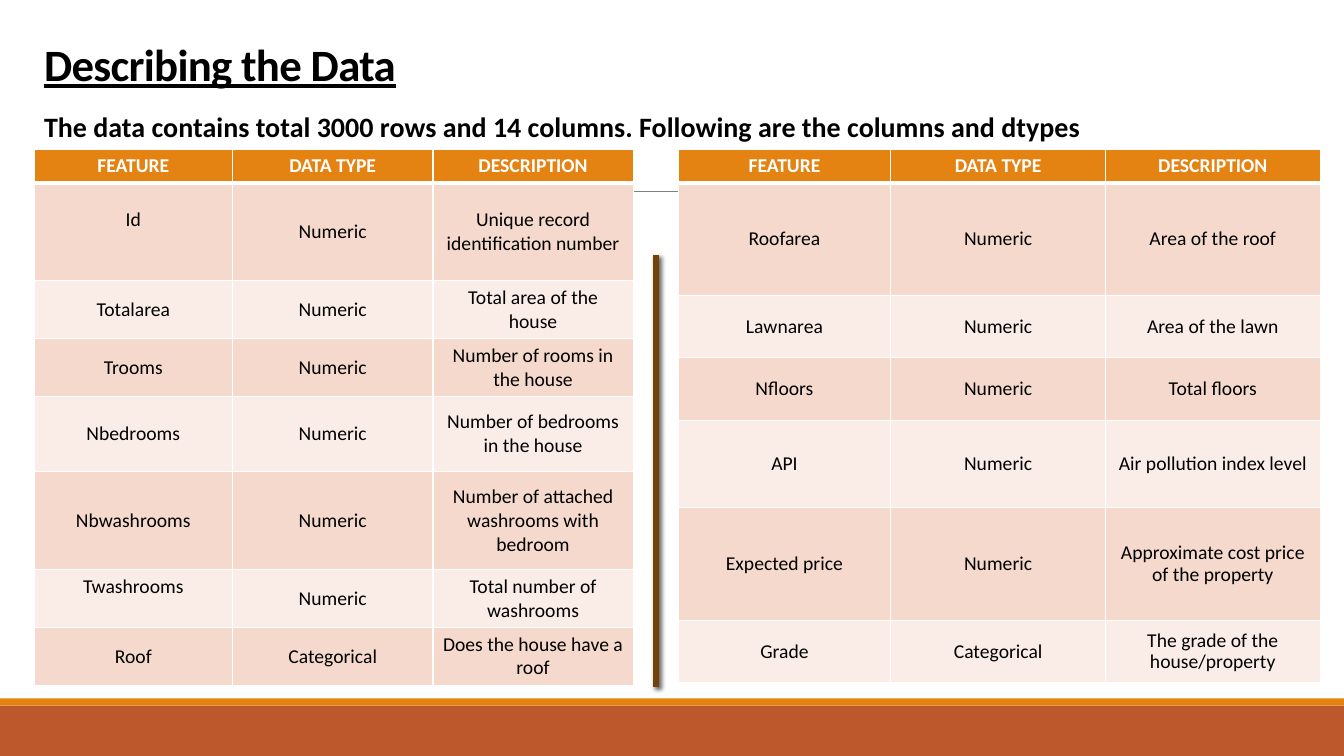
from lxml import etree
from pptx import Presentation
from pptx.dml.color import RGBColor
from pptx.enum.shapes import MSO_CONNECTOR, MSO_SHAPE
from pptx.enum.text import MSO_ANCHOR, PP_ALIGN
from pptx.oxml import parse_xml
from pptx.oxml.ns import nsdecls, qn
from pptx.util import Cm, Pt

STRAIGHT = MSO_CONNECTOR.STRAIGHT
RECT = MSO_SHAPE.RECTANGLE
TOP, MIDDLE, BOTTOM = MSO_ANCHOR.TOP, MSO_ANCHOR.MIDDLE, MSO_ANCHOR.BOTTOM
CENTER = PP_ALIGN.CENTER

BLACK = RGBColor(0x00, 0x00, 0x00)
WHITE = RGBColor(0xFF, 0xFF, 0xFF)
GRAY = RGBColor(0x80, 0x80, 0x80)
ORANGE = RGBColor(0xE4, 0x83, 0x12)
RUST = RGBColor(0xBD, 0x58, 0x2C)
BROWN = RGBColor(0x72, 0x42, 0x09)
BAND_DARK = RGBColor(0xF5, 0xD9, 0xCC)
BAND_LIGHT = RGBColor(0xFA, 0xED, 0xE7)

WIDTH, HEIGHT = 33.87, 19.05
MARGIN = 0.86
TABLE_TOP = 3.76

TITLE = {"size": Pt(32), "bold": True, "underline": True}
SUBTITLE = {"size": Pt(20), "bold": True}
HEADER = {"size": Pt(14), "bold": True}
BODY = {"size": Pt(14), "bold": False}

HEADINGS = ("FEATURE", "DATA TYPE", "DESCRIPTION")
LEFT_ROWS = [
    ("Id", "Numeric", "Unique record identification number"),
    ("Totalarea", "Numeric", "Total area of the house"),
    ("Trooms", "Numeric", "Number of rooms in the house"),
    ("Nbedrooms", "Numeric", "Number of bedrooms in the house"),
    ("Nbwashrooms", "Numeric", "Number of attached washrooms with bedroom"),
    ("Twashrooms", "Numeric", "Total number of washrooms"),
    ("Roof", "Categorical", "Does the house have a roof"),
]
RIGHT_ROWS = [
    ("Roofarea", "Numeric", "Area of the roof"),
    ("Lawnarea", "Numeric", "Area of the lawn"),
    ("Nfloors", "Numeric", "Total floors"),
    ("API", "Numeric", "Air pollution index level"),
    ("Expected price", "Numeric", "Approximate cost price of the property"),
    ("Grade", "Categorical", "The grade of the house/property"),
]
LEFT_HEIGHTS = (0.84, 2.46, 1.46, 1.46, 1.9, 2.46, 1.46, 1.46)
RIGHT_HEIGHTS = (0.84, 2.84, 1.57, 1.57, 2.21, 2.84, 1.57)
RAISED = ("Id", "Twashrooms")


class SlideBuilder:
    """Draws styled elements on the current slide."""

    font = "Calibri"

    def __init__(self, slide):
        self.slide = slide

    def add_text(self, tf, text, style, color=BLACK, align=None, spacing=None):
        p = tf.paragraphs[0]
        p.alignment = align
        p.line_spacing = spacing
        r = p.add_run()
        r.text = text
        r.font.name = self.font
        r.font.color.rgb = color
        for name, value in style.items():
            setattr(r.font, name, value)
        return r

    def bar(self, top, height, color):
        sp = self.slide.shapes.add_shape(RECT, 0, Cm(top), Cm(WIDTH), Cm(height))
        sp.shadow.inherit = False
        sp.fill.solid()
        sp.fill.fore_color.rgb = color
        sp.line.fill.background()

    def line(self, x1, y1, x2, y2, color, width, shadow=False):
        cx = self.slide.shapes.add_connector(STRAIGHT, Cm(x1), Cm(y1), Cm(x2), Cm(y2))
        cx.line.color.rgb = color
        cx.line.width = Pt(width)
        effects = etree.SubElement(cx._element.spPr, qn("a:effectLst"))
        if shadow:
            effects.append(parse_xml(
                f'<a:outerShdw {nsdecls("a")} blurRad="{Pt(3)}" dist="{Pt(2)}" dir="2700000">'
                f'<a:srgbClr val="{BLACK}"><a:alpha val="60000"/></a:srgbClr></a:outerShdw>'))

    def text_box(self, top, width, height, text, style, spacing, anchor=TOP):
        box = self.slide.shapes.add_textbox(Cm(MARGIN), Cm(top), Cm(width), Cm(height))
        tf = box.text_frame
        tf.word_wrap = True
        tf.vertical_anchor = anchor
        return self.add_text(tf, text, style, spacing=spacing)

    def borders(self, cell, top, bottom):
        tc_pr = cell._tc.get_or_add_tcPr()
        for side, width in (("L", 1), ("R", 1), ("T", top), ("B", bottom)):
            tc_pr.append(parse_xml(
                f'<a:ln{side} {nsdecls("a")} w="{Pt(width)}"><a:solidFill>'
                f'<a:srgbClr val="{WHITE}"/></a:solidFill></a:ln{side}>'))

    def table(self, left, col_widths, row_heights, rows, spacing=None):
        frame = self.slide.shapes.add_table(
            len(row_heights), len(col_widths), Cm(left), Cm(TABLE_TOP),
            Cm(sum(col_widths)), Cm(sum(row_heights)))
        table = frame.table
        table.horz_banding = False
        for col, width in zip(table.columns, col_widths):
            col.width = Cm(width)
        for row, height in zip(table.rows, row_heights):
            row.height = Cm(height)
        for i, values in enumerate([HEADINGS, *rows]):
            style, color = (BODY, BLACK) if i else (HEADER, WHITE)
            band = (BAND_LIGHT, BAND_DARK)[i % 2] if i else ORANGE
            for j, value in enumerate(values):
                cell = table.cell(i, j)
                self.borders(cell, 3 if i == 1 else 1, 1 if i else 3)
                cell.fill.solid()
                cell.fill.fore_color.rgb = band
                cell.vertical_anchor = MIDDLE
                if value in RAISED:
                    cell.margin_bottom = Cm(0.73)
                self.add_text(cell.text_frame, value, style, color, CENTER,
                              spacing if i and j == 2 else None)


def main():
    prs = Presentation()
    prs.slide_width, prs.slide_height = Cm(WIDTH), Cm(HEIGHT)
    s = SlideBuilder(prs.slides.add_slide(prs.slide_layouts[6]))

    s.bar(17.78, 1.27, RUST)
    s.bar(17.6, 0.18, ORANGE)
    s.line(3.33, 4.83, 31.01, 4.83, GRAY, 0.5)
    title = s.text_box(1.04, 28.19, 1.37, "Describing the Data", TITLE, 0.85, BOTTOM)
    title.font._element.set("spc", "-50")
    s.table(MARGIN, (5, 5.05, 5.05), LEFT_HEIGHTS, LEFT_ROWS)
    s.text_box(2.74, 32.5, 1.96,
               "The data contains total 3000 rows and 14 columns. "
               "Following are the columns and dtypes", SUBTITLE, 0.9)
    s.line(16.54, 6.43, 16.54, 17.32, BROWN, 4.5, shadow=True)
    s.table(17.09, (5.36, 5.41, 5.41), RIGHT_HEIGHTS, RIGHT_ROWS, 0.9)

    prs.save("out.pptx")


if __name__ == "__main__":
    main()
